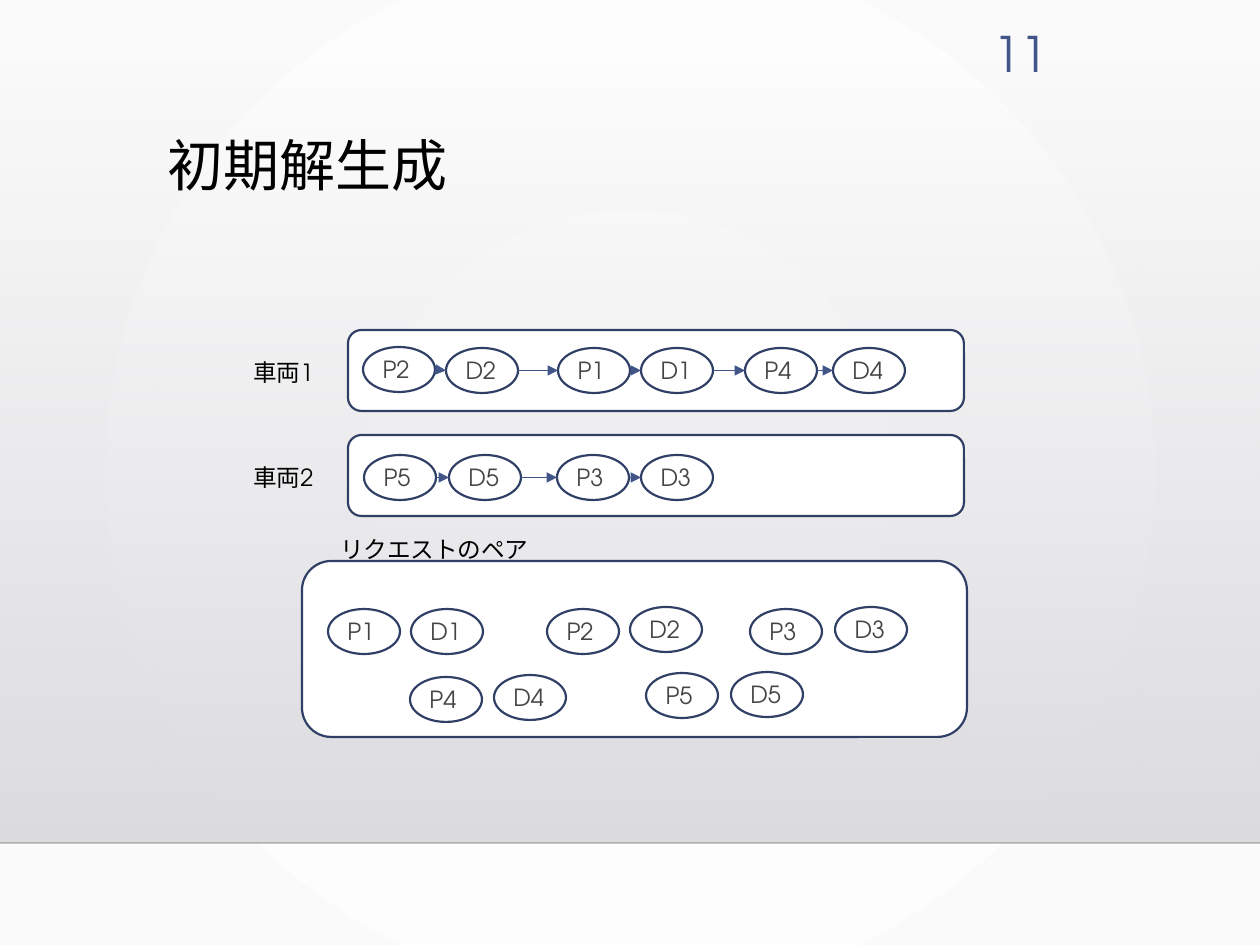
from lxml import etree
from pptx import Presentation
from pptx.dml.color import RGBColor
from pptx.enum.shapes import MSO_CONNECTOR, MSO_SHAPE
from pptx.enum.text import MSO_ANCHOR, PP_ALIGN
from pptx.oxml.ns import qn
from pptx.util import Pt

SCALE = 914400 / 126
WIDE, HIGH = 1260, 945
NODE_W, NODE_H = 72, 45
FONT = "TeX Gyre Adventor"

WHITE = RGBColor(0xFF, 0xFF, 0xFF)
PALE = RGBColor(0xFA, 0xFA, 0xFA)
MIST = RGBColor(0xDC, 0xDC, 0xE0)
GREY = RGBColor(0xDE, 0xDE, 0xE2)
BLACK = RGBColor(0, 0, 0)
INK = RGBColor(0x45, 0x45, 0x45)
NAVY = RGBColor(0x30, 0x3F, 0x65)
BLUE = RGBColor(0x41, 0x55, 0x88)

LINE = MSO_CONNECTOR.STRAIGHT
RECT, ROUND, OVAL = MSO_SHAPE.RECTANGLE, MSO_SHAPE.ROUNDED_RECTANGLE, MSO_SHAPE.OVAL
TOP, MIDDLE = MSO_ANCHOR.TOP, MSO_ANCHOR.MIDDLE
LEFT, RIGHT = PP_ALIGN.LEFT, PP_ALIGN.RIGHT

# Node name, then x and y from the corner of its box
ROUTES = [
    (330, "車両1", [("P2", 15, 17), ("D2", 98, 18), ("P1", 210, 18),
                   ("D1", 293, 18), ("P4", 397, 18), ("D4", 485, 18)]),
    (435, "車両2", [("P5", 16, 20), ("D5", 101, 20), ("P3", 209, 20), ("D3", 293, 20)]),
]
PAIRS = [
    ("P1", 26, 48), ("D1", 109, 48), ("P2", 245, 48), ("D2", 328, 46),
    ("P3", 448, 48), ("D3", 533, 46), ("P4", 108, 116), ("D4", 192, 114),
    ("P5", 344, 112), ("D5", 429, 111),
]


def emu(*sizes):
    return [round(size * SCALE) for size in sizes]


def write(shape, text, size=13.5, color=BLACK, align=LEFT, anchor=TOP, space=None):
    frame = shape.text_frame
    frame.word_wrap = True
    frame.vertical_anchor = anchor
    para = frame.paragraphs[0]
    para.alignment = align
    para.line_spacing = space
    run = para.add_run()
    run.text = text
    run.font.name = FONT
    run.font.size = Pt(size)
    run.font.color.rgb = color


def label(slide, box, text, **form):
    write(slide.shapes.add_textbox(*emu(*box)), text, **form)


def panel(slide, kind, box):
    shape = slide.shapes.add_shape(kind, *emu(*box))
    shape.shadow.inherit = False
    shape.fill.solid()
    shape.fill.fore_color.rgb = WHITE
    shape.line.color.rgb = NAVY
    shape.line.width = Pt(1.25)
    return shape


def node(slide, text, x, y):
    shape = panel(slide, OVAL, (x, y, NODE_W, NODE_H))
    frame = shape.text_frame
    frame.margin_left, frame.margin_top, frame.margin_right, frame.margin_bottom = emu(9, 5, 9, 5)
    write(shape, text, color=INK, anchor=MIDDLE)


def rule(slide, ends, color, width):
    line = slide.shapes.add_connector(LINE, *emu(*ends))
    line.line.color.rgb = color
    line.line.width = Pt(width)
    etree.SubElement(line._element.spPr, qn("a:effectLst"))
    return line


def arrow(slide, *ends):
    line = rule(slide, ends, BLUE, 0.75)
    etree.SubElement(line.line._get_or_add_ln(), qn("a:tailEnd"), type="triangle")


def fade(root, index, percent):
    """Set the opacity of one colour found under root."""
    tint = list(root.iter(qn("a:srgbClr")))[index]
    etree.SubElement(tint, qn("a:alpha"), val=str(percent * 1000))


def blend(fill, *colors):
    fill.gradient()
    fill.gradient_angle = 270
    for stop, color in zip(fill.gradient_stops, colors):
        stop.color.rgb = color


def backdrop(slide, top, base):
    blend(slide.background.fill, WHITE, PALE)
    lin = next(slide._element.iter(qn("a:lin")))
    ring = etree.Element(qn("a:path"), path="circle")
    etree.SubElement(ring, qn("a:fillToRect"), dict.fromkeys("ltrb", "50000"))
    lin.getparent().replace(lin, ring)

    band = panel(slide, RECT, (0, top, WIDE, base - top))
    band.line.fill.background()
    blend(band.fill, MIST, GREY)
    fade(band._element, 0, 0)
    edge = rule(slide, (0, base, WIDE, base), BLACK, 1)
    fade(edge._element, 0, 20)


def route(slide, box, name, stops):
    """Draw one vehicle with its stops in driving order."""
    left, top = box[:2]
    panel(slide, ROUND, box)
    label(slide, (left - 107, top + 22, 87, 42), name)
    spots = [(text, left + x, top + y) for text, x, y in stops]
    for spot in spots:
        node(slide, *spot)
    mid = NODE_H / 2
    for (_, x1, y1), (_, x2, y2) in zip(spots, spots[1:]):
        arrow(slide, x1 + NODE_W, y1 + mid, x2, y2 + mid)


def requests(slide, box):
    left, top = box[:2]
    panel(slide, ROUND, box)
    label(slide, (left + 26, top - 32, 260, 42), "リクエストのペア")
    for text, x, y in PAIRS:
        node(slide, text, left + x, top + y)


def main():
    deck = Presentation()
    deck.slide_width, deck.slide_height = emu(WIDE, HIGH)
    slide = deck.slides.add_slide(deck.slide_layouts[6])
    backdrop(slide, 64, 843)
    label(slide, (155, 132, 906, 145), "初期解生成", size=32, space=0.9)
    label(slide, (950, 18, 110, 69), "11", size=28, color=BLUE, align=RIGHT, anchor=MIDDLE)
    for top, name, stops in ROUTES:
        route(slide, (348, top, 616, 81), name, stops)
    requests(slide, (302, 561, 665, 176))
    deck.save("out.pptx")


if __name__ == "__main__":
    main()
